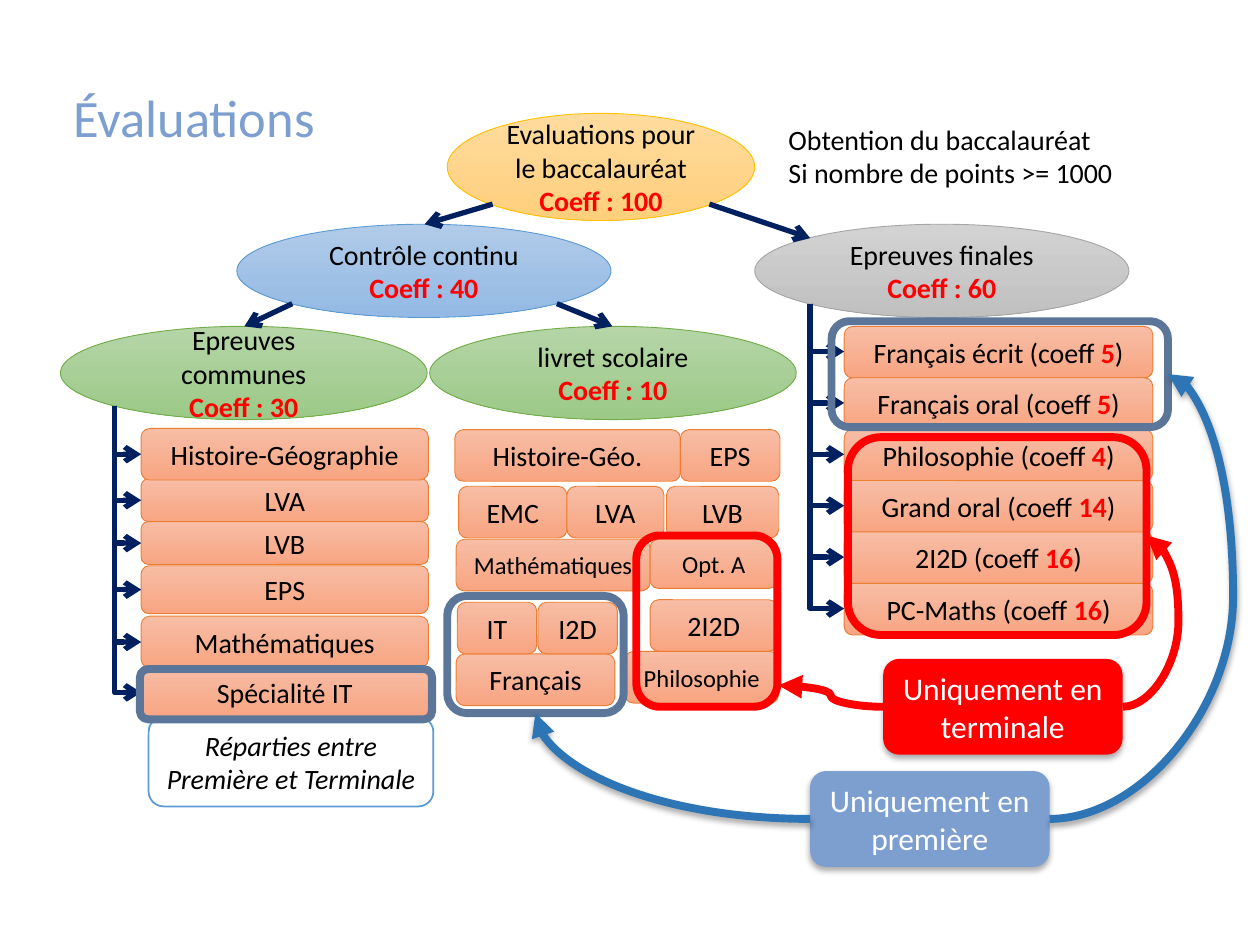
from lxml import etree
from pptx import Presentation
from pptx.dml.color import RGBColor
from pptx.enum import shapes, text
from pptx.oxml import ns
from pptx.util import Inches, Pt

INK = {"black": "000000", "white": "FFFFFF", "red": "FF0000", "navy": "002060",
       "title": "7C9FD0", "slate": "5C769A", "blue": "2E75B6", "sky": "5B9BD5"}
FADE = {"gold": ("FFDB9E", "FFD07C", "FFC000"),
        "blue": ("B1CBE9", "93B9E4", "5B9BD5"),
        "grey": ("D2D2D2", "C0C0C0", "A5A5A5"),
        "green": ("B5D5A7", "9CC987", "70AD47"),
        "peach": ("F7BDA5", "F8A582", "ED7D31")}
ROUND = shapes.MSO_SHAPE.ROUNDED_RECTANGLE
OVAL = shapes.MSO_SHAPE.OVAL
LINK = shapes.MSO_CONNECTOR


def rgb(code):
    return RGBColor.from_string(code)


def style(para, size, color="black", bold=False, italic=False):
    font = para.font
    font.name, font.size = "Calibri", Pt(size)
    font.bold, font.italic = bold, italic
    font.color.rgb = rgb(INK[color])


def draw(slide, kind, box, fade=None, fill=None, line=None, width=0.5):
    shape = slide.shapes.add_shape(kind, *map(Inches, box))
    shape.shadow.inherit = False
    if fade:
        top, low, edge = FADE[fade]
        shape.fill.gradient()
        shape.fill.gradient_angle = 270
        for stop, code in zip(shape.fill.gradient_stops, (top, low)):
            stop.color.rgb = rgb(code)
        shape.line.color.rgb = rgb(edge)
    elif fill:
        shape.fill.solid()
        shape.fill.fore_color.rgb = rgb(INK[fill])
    else:
        shape.fill.background()
    if line:
        shape.line.color.rgb = rgb(INK[line])
    if fade or line:
        shape.line.width = Pt(width)
    else:
        shape.line.fill.background()
    return shape


def write(shape, words, size=16, color="black", **look):
    frame = shape.text_frame
    frame.word_wrap = True
    frame.vertical_anchor = text.MSO_ANCHOR.MIDDLE
    para = frame.paragraphs[0]
    para.text = words
    para.alignment = text.PP_ALIGN.CENTER
    style(para, size, color, **look)
    return frame


def node(slide, box, fade, words, points):
    frame = write(draw(slide, OVAL, box, fade), words)
    para = frame.add_paragraph()
    para.text = f"Coeff : {points}"
    para.alignment = text.PP_ALIGN.CENTER
    style(para, 16, "red", bold=True)


def cell(slide, box, words, size=16):
    return write(draw(slide, ROUND, box, "peach"), words, size)


def ring(slide, box, color):
    draw(slide, ROUND, box, line=color, width=4.5)


def shade(props):
    effect = props.find(ns.qn("a:effectLst"))
    glow = etree.SubElement(effect, ns.qn("a:outerShdw"), blurRad=str(Pt(3.5)),
                            dist=str(Pt(2.2)), dir="5400000", rotWithShape="0")
    tint = etree.SubElement(glow, ns.qn("a:srgbClr"), val=INK["black"])
    etree.SubElement(tint, ns.qn("a:alpha"), val="32000")


def link(slide, start, end, color="navy", width=3, head="arrow",
         kind=LINK.STRAIGHT, form=None, bend=None, shadow=False):
    line = slide.shapes.add_connector(kind, *map(Inches, (*start, *end)))
    line.line.color.rgb = rgb(INK[color])
    line.line.width = Pt(width)
    props = line._element.spPr
    etree.SubElement(props.find(ns.qn("a:ln")), ns.qn("a:tailEnd"), type=head)
    etree.SubElement(props, ns.qn("a:effectLst"))
    if shadow:
        shade(props)
    shape = props.find(ns.qn("a:prstGeom"))
    if form:
        shape.set("prst", form)
    if bend:
        etree.SubElement(shape.find(ns.qn("a:avLst")), ns.qn("a:gd"),
                         name="adj1", fmla=f"val {round(bend * 100000)}")
    return line


def elbow(slide, start, end):
    (x, y), (right, low) = start, end
    mid, half = (x + right) / 2, (right - x) / 2
    level, rise = (y + low) / 2, (low - y) / 2
    line = link(slide, (mid + rise, level - half), (mid - rise, level + half),
                kind=LINK.ELBOW, form="bentConnector2")
    line._element.spPr.find(ns.qn("a:xfrm")).set("rot", "16200000")


def curve(slide, start, end, color, form, **more):
    link(slide, start, end, color, 4.5, "triangle", LINK.CURVE, form, **more)


def tree(slide, x, y):
    node(slide, (x + 3.07, y, 2.44, 0.85), "gold", "Evaluations pour le baccalauréat", 100)
    node(slide, (x + 1.4, y + 0.88, 2.97, 0.74), "blue", "Contrôle continu", 40)
    node(slide, (x + 5.51, y + 0.88, 2.97, 0.74), "grey", "Epreuves finales", 60)
    node(slide, (x, y + 1.69, 2.91, 0.74), "green", "Epreuves communes", 30)
    node(slide, (x + 2.93, y + 1.69, 2.91, 0.74), "green", "livret scolaire", 10)
    for left, top, right, low in ((3.43, 0.72, 2.89, 0.88), (5.15, 0.72, 5.95, 0.99),
                                  (1.84, 1.51, 1.46, 1.69), (3.94, 1.51, 4.38, 1.69)):
        link(slide, (x + left, y + top), (x + right, y + low))


def rule(slide, x, y):
    box = slide.shapes.add_textbox(*map(Inches, (x, y, 2.86, 0.64)))
    frame = box.text_frame
    frame.word_wrap = True
    frame.text = "Obtention du baccalauréat\nSi nombre de points >= 1000"
    for para in frame.paragraphs:
        style(para, 16)


def finals(slide, x, y):
    tests = (("Français écrit", 5), ("Français oral", 5), ("Philosophie", 4),
             ("Grand oral", 14), ("2I2D", 16), ("PC-Maths", 16))
    step = 0.408
    for i, (name, points) in enumerate(tests):
        top = y + i * step
        para = cell(slide, (x, top, 2.45, 0.41), f"{name} (coeff ").paragraphs[0]
        mark = para.add_run()
        mark.text = str(points)
        mark.font.bold = True
        mark.font.color.rgb = rgb(INK["red"])
        para.add_run().text = ")"
        elbow(slide, (x - 0.27, y - 0.18), (x, top + 0.2))


def common(slide, x, y):
    note = draw(slide, ROUND, (x + 0.06, y + 2.29, 2.26, 0.71), line="sky", width=1)
    write(note, "Réparties entre Première et Terminale", italic=True)
    rows = (("LVA", 0.4, 0.34), ("Histoire-Géographie", 0, 0.41), ("LVB", 0.74, 0.34),
            ("EPS", 1.09, 0.38), ("Mathématiques", 1.49, 0.41), ("Spécialité IT", 1.89, 0.41))
    for name, top, high in rows:
        cell(slide, (x, y + top, 2.28, high), name)
        elbow(slide, (x - 0.21, y - 0.18), (x, y + top + high / 2))
    ring(slide, (x - 0.01, y + 1.91, 2.32, 0.4), "slate")


def report(slide, x, y):
    cells = (("2I2D", 1.55, 1.35, 1.01, 16), ("Français", 0.01, 1.78, 1.26, 16),
             ("Philosophie", 1.35, 1.76, 1.22, 14), ("Histoire-Géo.", 0, 0, 1.79, 16),
             ("EMC", 0.03, 0.45, 0.86, 16), ("LVA", 0.89, 0.45, 0.77, 16),
             ("LVB", 1.68, 0.45, 0.89, 16), ("Mathématiques", 0.01, 0.87, 1.54, 14),
             ("EPS", 1.79, 0, 0.79, 16), ("Opt. A", 1.55, 0.87, 1.01, 14),
             ("IT", 0.02, 1.37, 0.63, 16), ("I2D", 0.66, 1.37, 0.63, 16))
    for name, left, top, wide, size in cells:
        high = 0.39 if name == "Opt. A" else 0.41
        cell(slide, (x + left, y + top, wide, high), name, size)


def call(slide, x, y, words, color):
    shape = draw(slide, ROUND, (x, y, 1.9, 0.76), fill=color)
    shade(shape._element.spPr)
    write(shape, words, 18, "white")


def first(slide, x, y):
    ring(slide, (6.6, 2.55, 2.67, 0.84), "slate")
    ring(slide, (3.55, 4.73, 1.4, 0.93), "slate")
    call(slide, x, y, "Uniquement en première", "title")
    mid = y + 0.38
    curve(slide, (x, mid), (4.25, 5.66), "blue", "curvedConnector2", shadow=True)
    curve(slide, (x + 1.9, mid), (9.27, 2.97), "blue", "curvedConnector3",
          bend=1.55, shadow=True)


def last(slide, x, y):
    ring(slide, (6.73, 3.47, 2.37, 1.57), "red")
    ring(slide, (5.05, 4.25, 1.12, 1.36), "red")
    call(slide, x, y, "Uniquement en terminale", "red")
    mid = y + 0.38
    curve(slide, (x, mid), (6.18, 5.44), "red", "curvedConnector3", bend=0.5)
    curve(slide, (x + 1.9, mid), (9.1, 4.25), "red", "curvedConnector3", bend=2.33)


def head(slide, box):
    title = slide.shapes.title
    title.left, title.top, title.width, title.height = map(Inches, box)
    frame = title.text_frame
    frame.text = "Évaluations"
    frame.vertical_anchor = text.MSO_ANCHOR.MIDDLE
    para = frame.paragraphs[0]
    para.alignment = text.PP_ALIGN.LEFT
    para.line_spacing = 0.9
    style(para, 30, "title")


def main():
    deck = Presentation()
    deck.slide_width, deck.slide_height = Inches(10), Inches(7.5)
    slide = deck.slides.add_slide(deck.slide_layouts[5])
    head(slide, (0.48, 0.48, 9.03, 0.96))
    tree(slide, 0.48, 0.9)
    rule(slide, 6.16, 0.92)
    finals(slide, 6.7, 2.59)
    report(slide, 3.61, 3.41)
    common(slide, 1.12, 3.4)
    first(slide, 6.43, 6.12)
    last(slide, 7.01, 5.23)
    deck.save("out.pptx")


if __name__ == "__main__":
    main()
